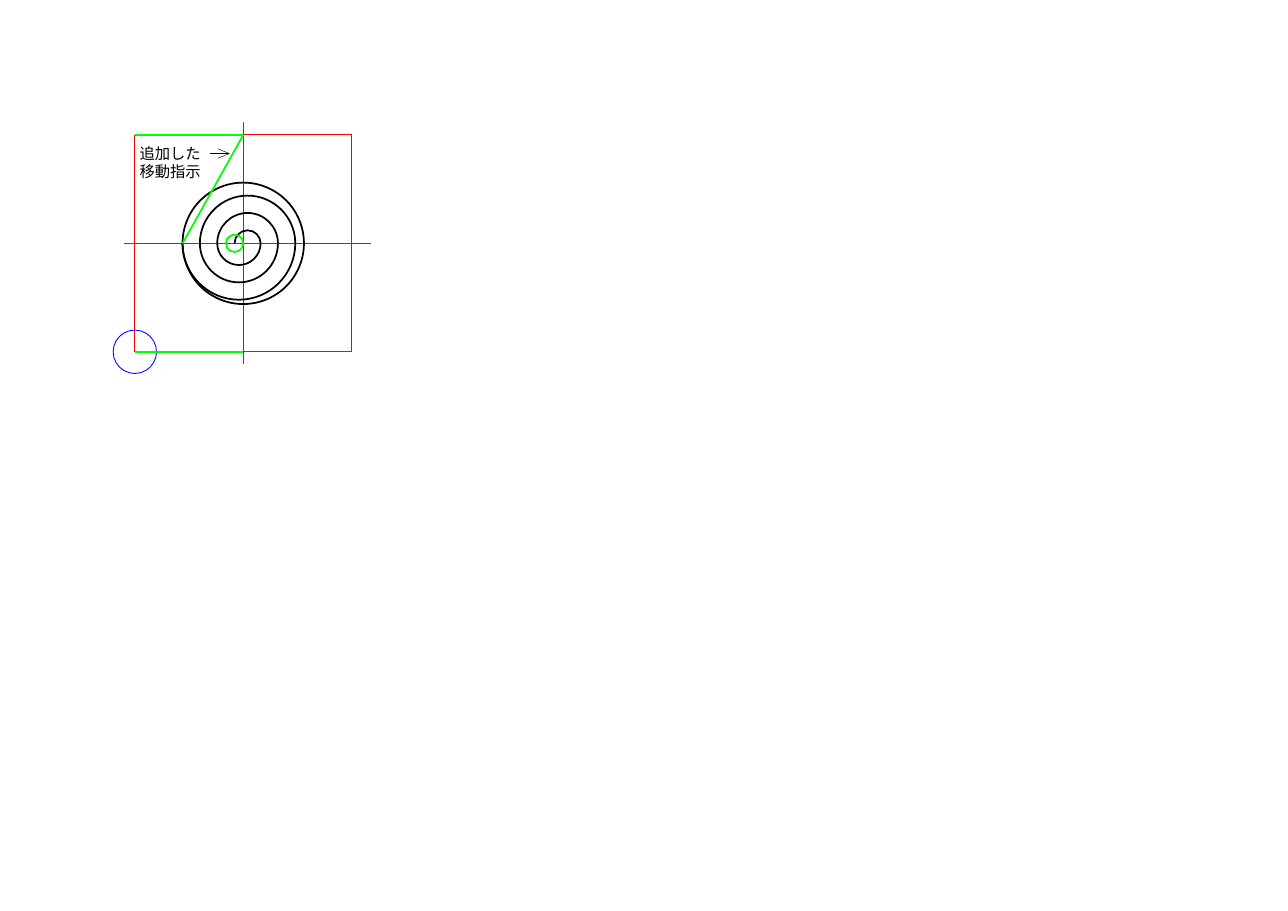
import itertools
from dataclasses import dataclass

import lxml.etree
import pptx
import pptx.dml.color
import pptx.enum.shapes
import pptx.oxml.ns
import pptx.util

Cm = pptx.util.Cm
Pt = pptx.util.Pt
qn = pptx.oxml.ns.qn

RED, GREEN, BLUE, BLACK = "FF0000", "00FF00", "0000FF", "000000"
THIN, THICK, HAIR = 0.57, 1.13, 0.28
FONT = "Noto Sans CJK JP"
CENTER = 5.61  # same for x and y, in cm
LOW, HIGH = CENTER - 2.5, CENTER + 2.5
RADIUS = 1.4
KAPPA = 0.55  # Bezier handle length of a quarter circle


@dataclass
class Line:
    x1: float
    y1: float
    x2: float
    y2: float
    color: str
    width: float


@dataclass
class Circle:
    x: float
    y: float
    radius: float
    color: str
    width: float


def rgb(color: str) -> pptx.dml.color.RGBColor:
    return pptx.dml.color.RGBColor.from_string(color)


def set_line(s, color: str, width: float) -> None:
    s.line.color.rgb = rgb(color)
    s.line.width = Pt(width)


def draw_line(shapes, line: Line) -> None:
    s = shapes.add_connector(
        pptx.enum.shapes.MSO_CONNECTOR.STRAIGHT,
        Cm(line.x1), Cm(line.y1), Cm(line.x2), Cm(line.y2))
    set_line(s, line.color, line.width)
    lxml.etree.SubElement(s._element.spPr, qn("a:effectLst"))


def draw_circle(shapes, circle: Circle) -> None:
    r = circle.radius
    s = shapes.add_shape(
        pptx.enum.shapes.MSO_SHAPE.OVAL,
        Cm(circle.x - r), Cm(circle.y - r), Cm(2 * r), Cm(2 * r))
    s.fill.background()
    s.shadow.inherit = False
    set_line(s, circle.color, circle.width)


def draw_outline(shapes, points: list[tuple[float, float]], width: float):
    (x, y), *rest = [(Cm(px), Cm(py)) for px, py in points]
    builder = shapes.build_freeform(x, y)
    builder.add_line_segments(rest, close=False)
    s = builder.convert_to_shape()
    s.fill.background()
    s.shadow.inherit = False
    set_line(s, BLACK, width)
    return s


def draw_half_turn(shapes, x: float, radius: float, side: int) -> None:
    """Draw a clockwise half circle; side is -1 for the upper, 1 for the lower."""
    unit = [(1, 0), (1, KAPPA), (KAPPA, 1), (0, 1), (-KAPPA, 1), (-1, KAPPA), (-1, 0)]
    points = [(x + side * radius * u, CENTER + side * radius * v) for u, v in unit]
    s = draw_outline(shapes, points, THICK)
    # Every three straight segments become one curve
    segments = list(s._element.iter(qn("a:lnTo")))
    for group in itertools.batched(segments, 3) if hasattr(itertools, "batched") else (
            segments[:3], segments[3:]):
        curve = lxml.etree.Element(qn("a:cubicBezTo"))
        group[0].addprevious(curve)
        for segment in group:
            curve.append(segment[0])
            segment.getparent().remove(segment)


prs = pptx.Presentation()
prs.slide_width, prs.slide_height = Cm(29.7), Cm(21)
shapes = prs.slides.add_slide(prs.slide_layouts[6]).shapes

# Square frame, center axes and the origin mark
for line in [
    Line(LOW, HIGH, HIGH, HIGH, RED, THIN),
    Line(HIGH, LOW, HIGH, HIGH, RED, THIN),
    Line(LOW, LOW, HIGH, LOW, RED, THIN),
    Line(LOW, LOW, LOW, HIGH, RED, THIN),
    Line(2.87, CENTER, 8.56, CENTER, RED, THIN),
    Line(CENTER, 2.82, CENTER, 8.38, RED, THIN),
]:
    draw_line(shapes, line)
draw_circle(shapes, Circle(LOW, HIGH, 0.5, BLUE, THIN))

# Spiral of half turns, each 0.2 cm wider than the last
for i in range(6):
    side = 1 if i % 2 else -1
    draw_half_turn(shapes, CENTER - 0.1 * side, 0.3 + 0.2 * i, side)
draw_circle(shapes, Circle(CENTER, CENTER, RADIUS, BLACK, THICK))

# Added moves
draw_circle(shapes, Circle(CENTER - 0.2, CENTER, 0.2, GREEN, THICK))
for line in [
    Line(LOW, HIGH, CENTER, HIGH, GREEN, THICK),
    Line(CENTER - RADIUS, CENTER, CENTER, LOW, GREEN, THICK),
    Line(LOW, LOW, CENTER, LOW, GREEN, THICK),
]:
    draw_line(shapes, line)

# Label
tf = shapes.add_textbox(Cm(3.22), Cm(3.34), Cm(1.52), Cm(0.72)).text_frame
tf.margin_left = tf.margin_right = tf.margin_top = tf.margin_bottom = 0
tf.word_wrap = False
tf.text = "追加した\n移動指示"
for p in tf.paragraphs:
    p.line_spacing = Pt(11.8)
    p.font.size = Pt(10)
    p.font.name = FONT
    p.font.color.rgb = rgb(BLACK)
    lxml.etree.SubElement(p.font._element, qn("a:ea"), typeface=FONT)

# Open arrow from the label to the added move
arrow = shapes.add_group_shape().shapes
tip, arrow_y = 5.29, 3.54
draw_line(arrow, Line(4.85, arrow_y, tip, arrow_y, BLACK, HAIR))
draw_outline(arrow, [(5.02, arrow_y + 0.11), (tip, arrow_y), (5.02, arrow_y - 0.11)], HAIR)

prs.save("out.pptx")
